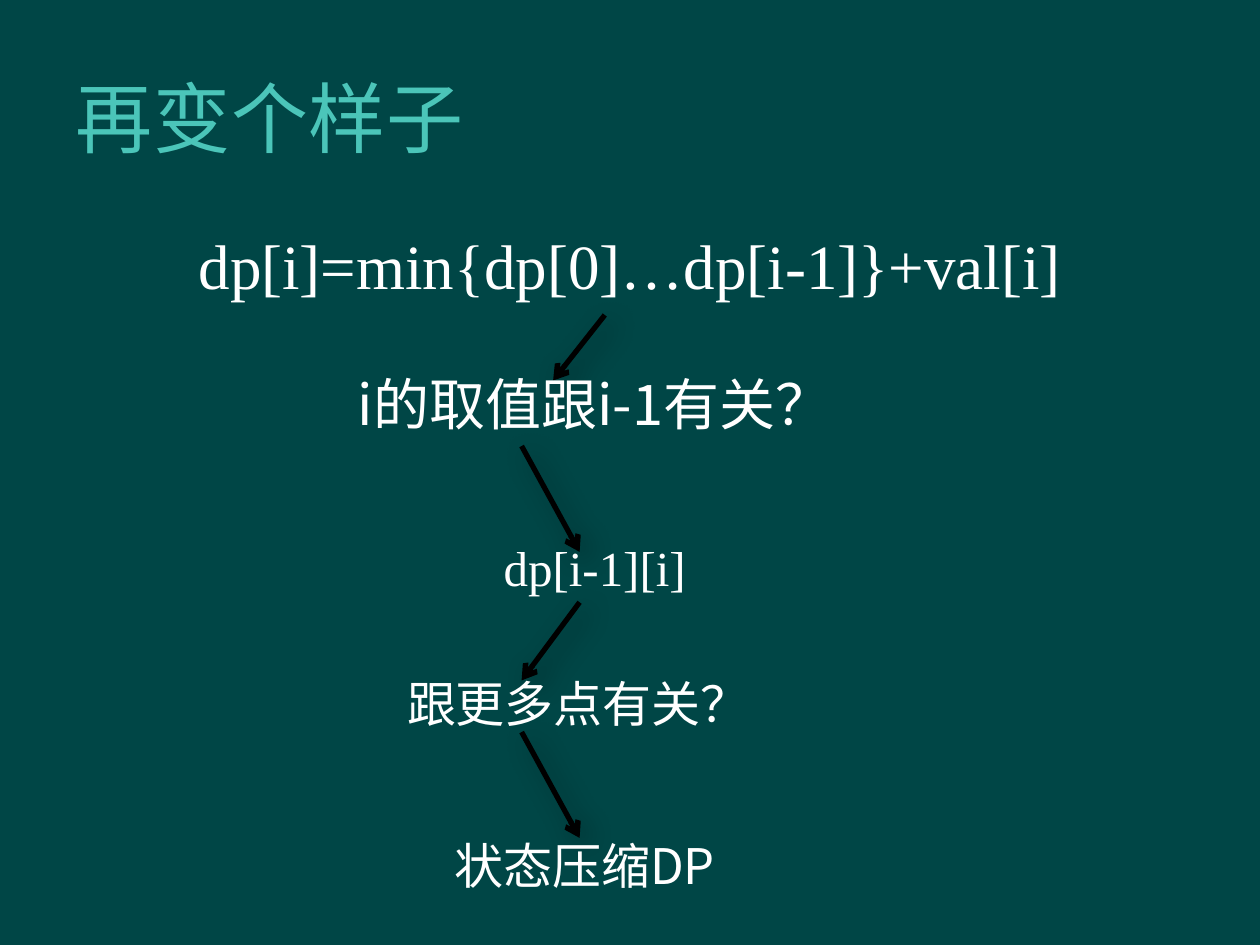
from dataclasses import dataclass

from lxml import etree
from pptx import Presentation
from pptx.dml.color import RGBColor
from pptx.enum.shapes import MSO_CONNECTOR
from pptx.enum.text import MSO_ANCHOR, MSO_AUTO_SIZE, PP_ALIGN
from pptx.oxml import parse_xml
from pptx.oxml.ns import nsdecls, qn
from pptx.slide import Slide
from pptx.util import Inches, Pt

STRAIGHT = MSO_CONNECTOR.STRAIGHT
LEFT, CENTER = PP_ALIGN.LEFT, PP_ALIGN.CENTER
TOP, MIDDLE = MSO_ANCHOR.TOP, MSO_ANCHOR.MIDDLE
GROW, FIXED = MSO_AUTO_SIZE.SHAPE_TO_FIT_TEXT, MSO_AUTO_SIZE.NONE

COLORS = {"background": "004646", "title": "4BC5B9", "text": "FFFFFF", "arrow": "000000"}
SANS, SERIF = "Noto Sans CJK SC", "Times New Roman"


@dataclass
class Label:
    text: str
    left: float
    top: float
    width: float
    height: float
    size: int
    font: str
    color: str = "text"
    align: PP_ALIGN = CENTER
    anchor: MSO_ANCHOR = TOP
    auto_size: MSO_AUTO_SIZE = GROW
    space_before: float = 0
    spacing: float = 0


@dataclass
class Arrow:
    start: tuple[float, float]
    end: tuple[float, float]


LABELS = [
    Label("再变个样子", 0.5, 0.3, 8.5, 1.25, 44, "Roboto", color="title",
          align=LEFT, anchor=MIDDLE, auto_size=FIXED, spacing=0.5),
    Label("dp[i]=min{dp[0]…dp[i-1]}+val[i]", 0.5, 1.75, 9, 0.98, 36, SERIF,
          auto_size=FIXED, space_before=4),
    Label("i的取值跟i-1有关？", 2.08, 2.88, 5.28, 0.64, 32, SANS),
    Label("dp[i-1][i]", 2.08, 4.22, 5.28, 0.57, 28, SERIF),
    Label("跟更多点有关？", 2.23, 5.3, 4.72, 0.57, 28, SANS),
    Label("状态压缩DP", 2.08, 6.58, 5.12, 0.57, 28, SANS),
]

ARROWS = [
    Arrow((4.8, 2.5), (4.39, 3.02)),
    Arrow((4.14, 3.54), (4.6, 4.38)),
    Arrow((4.6, 4.78), (4.14, 5.4)),
    Arrow((4.14, 5.81), (4.6, 6.65)),
]


def rgb(name: str) -> RGBColor:
    return RGBColor.from_string(COLORS[name])


def add_label(page: Slide, label: Label) -> None:
    box = page.shapes.add_textbox(Inches(label.left), Inches(label.top),
                                  Inches(label.width), Inches(label.height))
    frame = box.text_frame
    frame.word_wrap = True
    frame.auto_size = label.auto_size
    frame.vertical_anchor = label.anchor
    para = frame.paragraphs[0]
    para.alignment = label.align
    para.space_before = Pt(label.space_before)
    span = para.add_run()
    span.text = label.text
    span.font.size = Pt(label.size)
    span.font.name = label.font
    span.font.color.rgb = rgb(label.color)
    properties = span.font._element
    etree.SubElement(properties, qn("a:ea"), typeface=label.font)
    if label.spacing:
        properties.set("spc", str(round(label.spacing * 100)))


def add_arrow(page: Slide, arrow: Arrow) -> None:
    """Draw an arrow with an open head and a soft shadow."""
    points = [Inches(value) for value in (*arrow.start, *arrow.end)]
    connector = page.shapes.add_connector(STRAIGHT, *points)
    connector.line.color.rgb = rgb("arrow")
    connector.line.width = Pt(3)
    etree.SubElement(connector.line._get_or_add_ln(), qn("a:tailEnd"), type="arrow")
    connector._element.spPr.append(parse_xml(
        f'<a:effectLst {nsdecls("a")}>'
        f'<a:outerShdw blurRad="{Pt(15)}" dist="{Pt(6.2)}" dir="{45 * 60000}">'
        f'<a:srgbClr val="{COLORS["arrow"]}"><a:alpha val="36000"/></a:srgbClr>'
        "</a:outerShdw></a:effectLst>"))


def main() -> None:
    deck = Presentation()
    deck.slide_width, deck.slide_height = Inches(10), Inches(7.5)
    page = deck.slides.add_slide(deck.slide_layouts[6])
    page.background.fill.solid()
    page.background.fill.fore_color.rgb = rgb("background")
    for arrow in ARROWS:
        add_arrow(page, arrow)
    for label in LABELS:
        add_label(page, label)
    deck.save("out.pptx")


if __name__ == "__main__":
    main()
